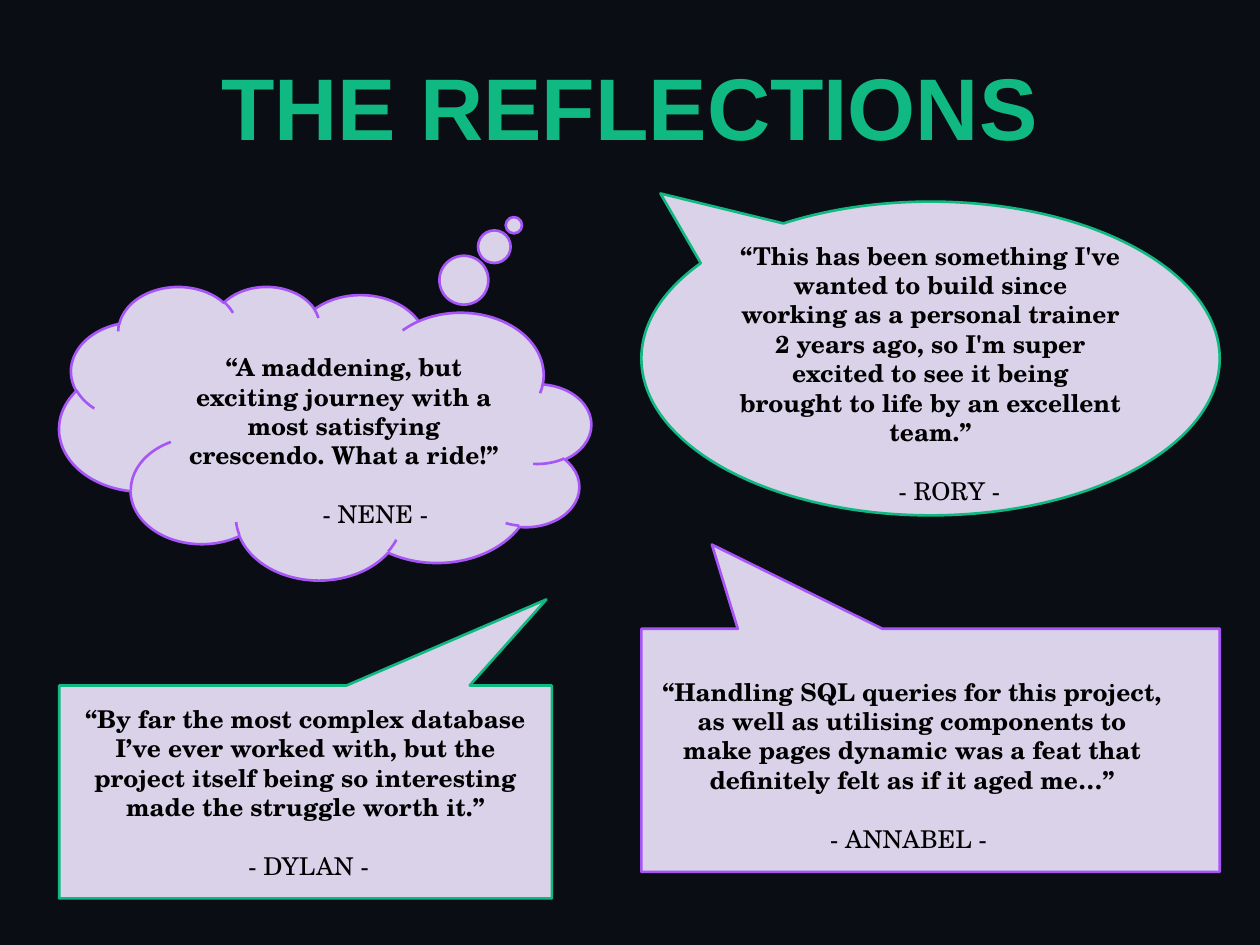
from pptx import Presentation
from pptx.dml.color import RGBColor
from pptx.enum.shapes import MSO_SHAPE as Shape
from pptx.enum.text import MSO_ANCHOR as Anchor, MSO_AUTO_SIZE as AutoSize, PP_ALIGN as Align
from pptx.util import Inches, Pt

COLORS = {
    "background": "0A0E14",
    "green": "10B981",
    "purple": "A855F7",
    "lilac": "D9D2E9",
    "black": "000000",
}
TITLE = "THE REFLECTIONS"
QUOTE_FONT = "TeX Gyre Schola"
QUOTE_SIZE = 14
LINE_GAP = 16.8  # height of one quote line in points
INSET = 0.1
LOW_INSET = 0.33  # top inset that moves the text down half a line

# margins: quote left, quote right, name left, name right
CALLOUTS = [
    dict(kind=Shape.OVAL_CALLOUT, place=(5.09, 1.6, 4.59, 2.49), tip=(-0.467, -0.526),
         line="green", top=LOW_INSET, margins=(0, 0, 0.3, 0), name="- RORY -",
         quote="“This has been something I've wanted to build since working as a personal "
               "trainer 2 years ago, so I'm super excited to see it being brought to life "
               "by an excellent team.”"),
    dict(kind=Shape.CLOUD_CALLOUT, place=(0.47, 2.27, 4.22, 2.33), tip=(-0.355, -0.707),
         line="purple", top=LOW_INSET, margins=(0, 0, 0.5, 0), name="- NENE -", flip=True,
         quote="“A maddening, but exciting journey with a most satisfying crescendo. "
               "What a ride!”"),
    dict(kind=Shape.ROUNDED_RECTANGULAR_CALLOUT, place=(0.47, 5.44, 3.91, 1.69),
         tip=(0.489, -0.904, 0), line="green", top=INSET, margins=(0, 0, 0.05, 0),
         name="- DYLAN -",
         quote="“By far the most complex database I’ve ever worked with, but the project "
               "itself being so interesting made the struggle worth it.”"),
    dict(kind=Shape.RECTANGULAR_CALLOUT, place=(5.09, 4.99, 4.59, 1.93), tip=(-0.378, -0.846),
         line="purple", top=LOW_INSET, margins=(0.06, 0.35, 0, 0.35), name="- ANNABEL -",
         quote="“Handling SQL queries for this project, as well as utilising components to "
               "make pages dynamic was a feat that definitely felt as if it aged me…”"),
]


def color(name):
    return RGBColor.from_string(COLORS[name])


def style_paragraph(para, font_name, size, color_name, bold):
    para.alignment = Align.CENTER
    for run in para.runs:
        run.font.name = font_name
        run.font.size = Pt(size)
        run.font.bold = bold
        run.font.color.rgb = color(color_name)


def set_margins(para, left, right):
    properties = para._p.get_or_add_pPr()
    properties.set("marL", str(Inches(left)))
    properties.set("marR", str(Inches(right)))


def add_title(slide):
    title = slide.shapes.title
    title.left, title.top, title.width, title.height = map(Inches, (0, 0.37, 10, 0.94))
    frame = title.text_frame
    frame.text = TITLE
    frame.auto_size = AutoSize.NONE
    frame.vertical_anchor = Anchor.MIDDLE
    style_paragraph(frame.paragraphs[0], "Arial", 50, "green", True)


def add_callout(slide, callout):
    shape = slide.shapes.add_shape(callout["kind"], *map(Inches, callout["place"]))
    shape.shadow.inherit = False
    for index, value in enumerate(callout["tip"]):
        shape.adjustments[index] = value
    if callout.get("flip"):
        shape._element.spPr.xfrm.set("flipH", "1")
    shape.fill.solid()
    shape.fill.fore_color.rgb = color("lilac")
    shape.line.color.rgb = color(callout["line"])
    shape.line.width = Pt(1.5)

    frame = shape.text_frame
    frame.word_wrap = True
    frame.vertical_anchor = Anchor.MIDDLE
    frame.margin_left = frame.margin_right = frame.margin_bottom = Inches(INSET)
    frame.margin_top = Inches(callout["top"])
    quote, name = frame.paragraphs[0], frame.add_paragraph()
    quote.text, name.text = callout["quote"], callout["name"]
    name.space_before = Pt(LINE_GAP)
    style_paragraph(quote, QUOTE_FONT, QUOTE_SIZE, "black", True)
    style_paragraph(name, QUOTE_FONT, QUOTE_SIZE, "black", False)
    set_margins(quote, *callout["margins"][:2])
    set_margins(name, *callout["margins"][2:])


def main():
    deck = Presentation()
    deck.slide_width, deck.slide_height = Inches(10), Inches(7.5)
    slide = deck.slides.add_slide(deck.slide_layouts[5])
    slide.background.fill.solid()
    slide.background.fill.fore_color.rgb = color("background")
    add_title(slide)
    for callout in CALLOUTS:
        add_callout(slide, callout)
    deck.save("out.pptx")


if __name__ == "__main__":
    main()
